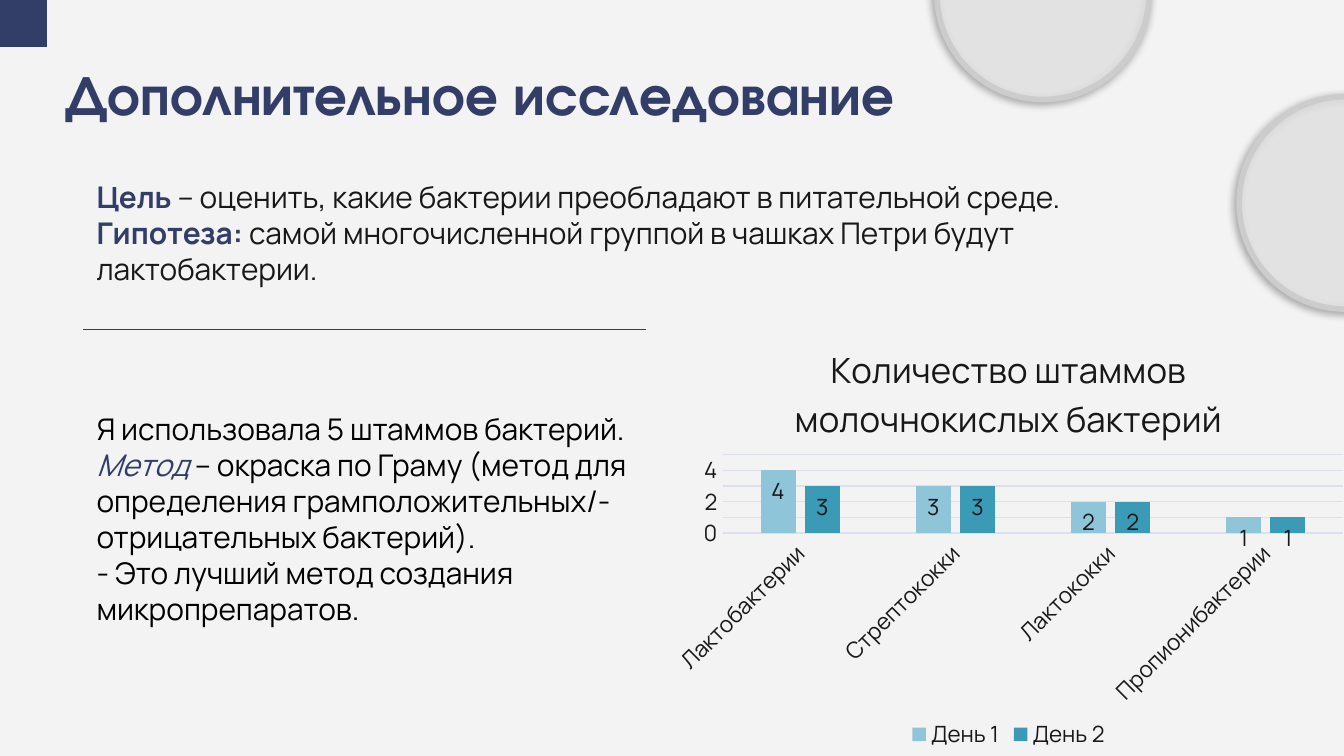
from lxml import etree
from pptx import Presentation
from pptx.chart.data import CategoryChartData
from pptx.dml.color import RGBColor
from pptx.enum.chart import XL_CHART_TYPE, XL_LABEL_POSITION, XL_LEGEND_POSITION, XL_TICK_MARK
from pptx.enum.shapes import MSO_CONNECTOR, MSO_SHAPE
from pptx.enum.text import MSO_ANCHOR, PP_ALIGN
from pptx.oxml import parse_xml
from pptx.oxml.ns import nsdecls, qn
from pptx.util import Inches, Pt

COLUMNS = XL_CHART_TYPE.COLUMN_CLUSTERED
INSIDE_END = XL_LABEL_POSITION.INSIDE_END
BOTTOM = XL_LEGEND_POSITION.BOTTOM
NO_TICK = XL_TICK_MARK.NONE
STRAIGHT = MSO_CONNECTOR.STRAIGHT
RECTANGLE, OVAL = MSO_SHAPE.RECTANGLE, MSO_SHAPE.OVAL
TOP, LEFT = MSO_ANCHOR.TOP, PP_ALIGN.LEFT

NAVY = RGBColor(0x32, 0x3E, 0x68)
RULE = RGBColor(0x30, 0x3C, 0x67)
INK = RGBColor(0x18, 0x18, 0x18)
BLACK = RGBColor(0x00, 0x00, 0x00)
WHITE = RGBColor(0xFF, 0xFF, 0xFF)
PAPER = RGBColor(0xF3, 0xF3, 0xF3)
RIM = RGBColor(0xCC, 0xCC, 0xCC)
GRID = RGBColor(0xDB, 0xDF, 0xEE)
SKY = RGBColor(0x8F, 0xC5, 0xD9)
TEAL = RGBColor(0x3B, 0x9A, 0xB5)

BODY_FONT = "Manrope"
TITLE_FONT = "TeX Gyre Adventor"


def style(font, size, color, name=BODY_FONT, bold=False, italic=False):
    font.name, font.size = name, Pt(size)
    font.bold, font.italic = bold, italic
    font.color.rgb = color


def add_corner(page, size):
    corner = page.shapes.add_shape(RECTANGLE, 0, 0, Inches(size), Inches(size))
    corner.shadow.inherit = False
    corner.fill.solid()
    corner.fill.fore_color.rgb = NAVY
    corner.line.fill.background()


def add_dish(page, left, top, size, rotation=0):
    dish = page.shapes.add_shape(OVAL, Inches(left), Inches(top), Inches(size), Inches(size))
    dish.rotation = rotation
    dish.fill.solid()
    dish.fill.fore_color.rgb = WHITE
    color = dish.fill._xPr.find(qn("a:solidFill"))[0]
    etree.SubElement(color, qn("a:alpha"), val="53000")
    dish.line.color.rgb = RIM
    dish.line.width = Pt(3)
    dish._element.spPr.append(parse_xml(
        f'<a:effectLst {nsdecls("a")}><a:outerShdw blurRad="57150" dist="19050" '
        'dir="8280000" algn="bl" rotWithShape="0"><a:srgbClr val="191919">'
        '<a:alpha val="42000"/></a:srgbClr></a:outerShdw></a:effectLst>'))


def set_frame(frame, inset):
    frame.word_wrap = True
    frame.vertical_anchor = TOP
    frame.margin_left = frame.margin_right = Inches(0.1)
    frame.margin_top = frame.margin_bottom = Inches(inset)


def add_title(page, left, top, width, height, text):
    title = page.shapes.title
    title.left, title.top = Inches(left), Inches(top)
    title.width, title.height = Inches(width), Inches(height)
    set_frame(title.text_frame, 0.1)
    para = title.text_frame.paragraphs[0]
    para.alignment = LEFT
    span = para.add_run()
    span.text = text
    style(span.font, 30, NAVY, TITLE_FONT, bold=True)


def add_text(page, left, top, width, height, inset, paragraphs):
    box = page.shapes.add_textbox(Inches(left), Inches(top), Inches(width), Inches(height))
    frame = box.text_frame
    set_frame(frame, inset)
    for index, spans in enumerate(paragraphs):
        para = frame.add_paragraph() if index else frame.paragraphs[0]
        for text, color, bold, italic in spans:
            span = para.add_run()
            span.text = text
            style(span.font, 16, color, bold=bold, italic=italic)


def add_rule(page, left, top, width):
    rule = page.shapes.add_connector(
        STRAIGHT, Inches(left), Inches(top), Inches(left + width), Inches(top))
    rule.line.color.rgb = RULE
    rule.line.width = Pt(0.75)
    etree.SubElement(rule._element.spPr, qn("a:effectLst"))


def place_plot(chart, x, y, width, height):
    area = chart._chartSpace.chart.plotArea
    for old in area.findall(qn("c:layout")):
        area.remove(old)
    area.insert(0, parse_xml(
        f'<c:layout {nsdecls("c")}><c:manualLayout><c:layoutTarget val="inner"/>'
        '<c:xMode val="edge"/><c:yMode val="edge"/>'
        f'<c:x val="{x}"/><c:y val="{y}"/><c:w val="{width}"/><c:h val="{height}"/>'
        '</c:manualLayout></c:layout>'))


def add_strain_chart(page, left, top, width, height):
    data = CategoryChartData()
    data.categories = ["Лактобактерии", "Стрептококки", "Лактококки", "Пропионибактерии"]
    data.add_series("День 1", [4, 3, 2, 1])
    data.add_series("День 2", [3, 3, 2, 1])
    chart = page.shapes.add_chart(
        COLUMNS, Inches(left), Inches(top), Inches(width), Inches(height), data).chart
    style(chart.font, 10, NAVY, "Arial")

    chart.has_title = True
    span = chart.chart_title.text_frame.paragraphs[0].add_run()
    span.text = "Количество штаммов молочнокислых бактерий"
    style(span.font, 18.6, INK)
    chart.chart_title.include_in_layout = False

    chart.has_legend = True
    chart.legend.position = BOTTOM
    chart.legend.include_in_layout = False
    style(chart.legend.font, 12, INK)

    categories, values = chart.category_axis, chart.value_axis
    for axis in (categories, values):
        axis.major_tick_mark = axis.minor_tick_mark = NO_TICK
        style(axis.tick_labels.font, 12, INK)
    categories.format.line.color.rgb = GRID
    categories.format.line.width = Pt(0.75)
    categories._element.txPr.find(qn("a:bodyPr")).set("rot", "-2700000")
    values.format.line.fill.background()
    values.minimum_scale, values.maximum_scale, values.major_unit = 0, 5, 1
    values.major_gridlines.format.line.color.rgb = GRID
    values.major_gridlines.format.line.width = Pt(0.75)

    plot = chart.plots[0]
    plot.vary_by_categories = False
    plot.gap_width, plot.overlap = 219, -27
    for series, color in zip(plot.series, (SKY, TEAL)):
        series.format.fill.solid()
        series.format.fill.fore_color.rgb = color
        labels = series.data_labels
        labels.show_value = True
        labels.position = INSIDE_END
        style(labels.font, 12, INK)
    place_plot(chart, 0.09, 0.31, 0.89, 0.18)


def main():
    deck = Presentation()
    deck.slide_width, deck.slide_height = Pt(720), Pt(405)
    page = deck.slides.add_slide(deck.slide_layouts[5])
    page.background.fill.solid()
    page.background.fill.fore_color.rgb = PAPER

    add_corner(page, 0.35)
    add_dish(page, 9.22, 0.72, 1.58)
    add_dish(page, 6.97, -0.84, 1.58, 177.1)
    add_title(page, 0.39, 0.34, 8.43, 0.63, "Дополнительное исследование")
    add_text(page, 0.62, 1.23, 8.2, 2.28, 0.1, [
        [("Цель ", NAVY, True, False),
         ("– оценить, какие бактерии преобладают в питательной среде.", INK, False, False)],
        [("Гипотеза: ", NAVY, True, False),
         ("самой многочисленной группой в чашках Петри будут лактобактерии.",
          INK, False, False)],
    ])
    add_rule(page, 0.62, 2.45, 4.19)
    add_text(page, 0.62, 3.01, 4.3, 1.99, 0.05, [
        [("Я использовала 5 штаммов бактерий.", BLACK, False, False)],
        [("Метод", NAVY, False, True),
         (" – окраска по Граму (метод для определения грамположительных/-отрицательных "
          "бактерий).", BLACK, False, False)],
        [("- Это лучший метод создания микропрепаратов.", BLACK, False, False)],
    ])
    add_strain_chart(page, 4.91, 2.38, 5.19, 3.24)
    deck.save("out.pptx")


if __name__ == "__main__":
    main()
